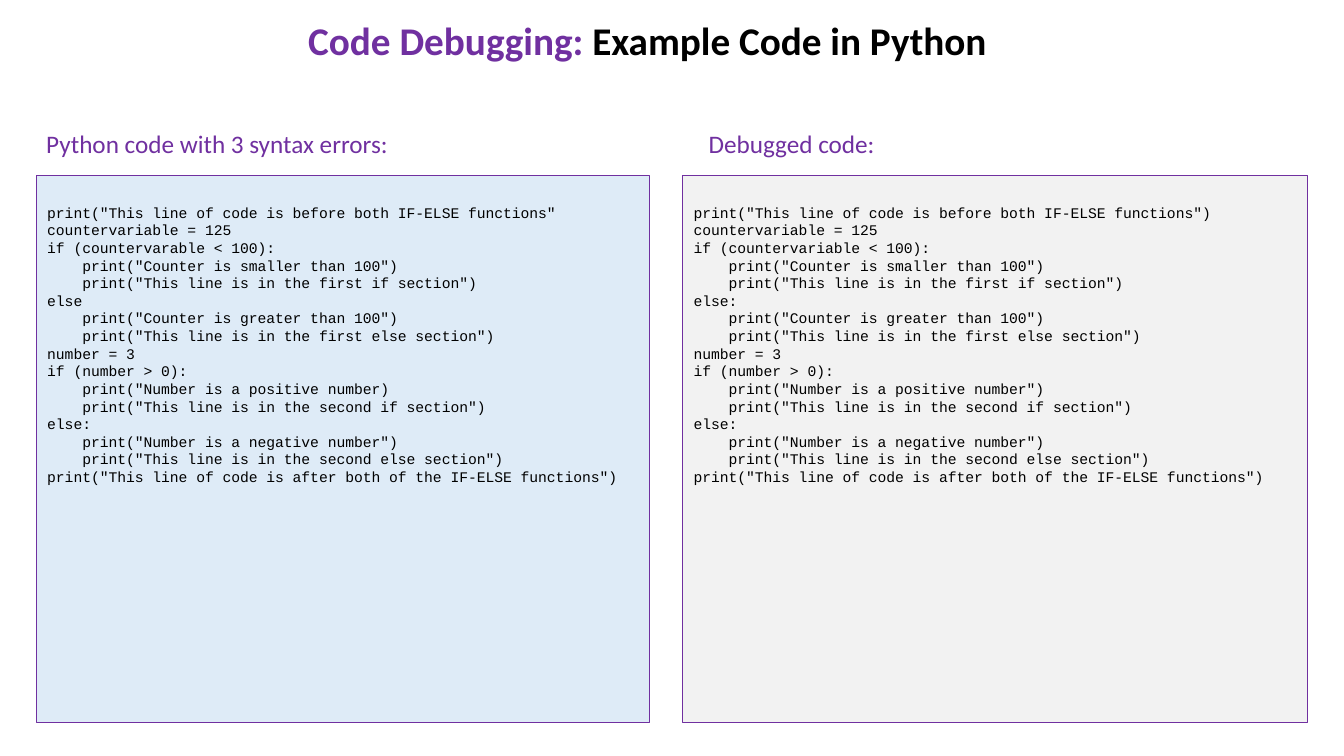
import pptx
import pptx.dml.color
import pptx.enum.shapes
import pptx.enum.text
import pptx.util

Inches = pptx.util.Inches
PURPLE = "7030A0"
BLACK = "000000"

FIXED = '''print("This line of code is before both IF-ELSE functions")
countervariable = 125
if (countervariable < 100):
    print("Counter is smaller than 100")
    print("This line is in the first if section")
else:
    print("Counter is greater than 100")
    print("This line is in the first else section")
number = 3
if (number > 0):
    print("Number is a positive number")
    print("This line is in the second if section")
else:
    print("Number is a negative number")
    print("This line is in the second else section")
print("This line of code is after both of the IF-ELSE functions")'''

BUGS = [
    ('before both IF-ELSE functions")', 'before both IF-ELSE functions"'),
    ("if (countervariable", "if (countervarable"),
    ("else:", "else"),
    ('positive number")', "positive number)"),
]


def color(code):
    return pptx.dml.color.RGBColor.from_string(code)


def place(shape, left, top, width, height):
    shape.left, shape.top = Inches(left), Inches(top)
    shape.width, shape.height = Inches(width), Inches(height)


def write(par, text, size=18, font="Calibri", tint=PURPLE, bold=False):
    run = par.add_run()
    run.text = text
    run.font.size = pptx.util.Pt(size)
    run.font.name = font
    run.font.bold = bold
    run.font.color.rgb = color(tint)


def add_title(slide):
    title = slide.shapes.title
    place(title, 0.92, 0.11, 11, 0.57)
    title.text_frame.vertical_anchor = pptx.enum.text.MSO_ANCHOR.TOP
    par = title.text_frame.paragraphs[0]
    par.alignment = pptx.enum.text.PP_ALIGN.CENTER
    write(par, "Code Debugging: ", size=28, bold=True)
    write(par, "Example Code in Python", size=28, tint=BLACK, bold=True)


def add_text(slide, box, text, **style):
    frame = slide.shapes.add_textbox(*map(Inches, box)).text_frame
    frame.word_wrap = True
    for num, line in enumerate(text.split("\n")):
        par = frame.add_paragraph() if num else frame.paragraphs[0]
        write(par, line, **style)


def add_panel(slide, left, width, fill):
    rect = pptx.enum.shapes.MSO_SHAPE.RECTANGLE
    panel = slide.shapes.add_shape(
        rect, Inches(left), Inches(1.74), Inches(width), Inches(5.43))
    panel.shadow.inherit = False
    panel.fill.solid()
    panel.fill.fore_color.rgb = color(fill)
    panel.line.color.rgb = color(PURPLE)
    panel.line.width = pptx.util.Pt(1)


def add_code(slide, head, head_left, left, width, fill, code):
    add_text(slide, (head_left, 1.22, 4.19, 0.4), head)
    add_panel(slide, left, width, fill)
    add_text(slide, (left + 0.01, 1.97, width + 0.09, 2.93), code,
             size=10.5, font="Courier New", tint=BLACK)


def main():
    deck = pptx.Presentation()
    deck.slide_width, deck.slide_height = Inches(13.33), Inches(7.5)
    slide = deck.slides.add_slide(deck.slide_layouts[5])
    broken = FIXED
    for right, wrong in BUGS:
        broken = broken.replace(right, wrong, 1)
    add_title(slide)
    add_code(slide, "Python code with 3 syntax errors:",
             0.36, 0.36, 6.08, "DEEBF7", broken)
    add_code(slide, "Debugged code:", 6.93, 6.77, 6.2, "F2F2F2", FIXED)
    deck.save("out.pptx")


if __name__ == "__main__":
    main()
